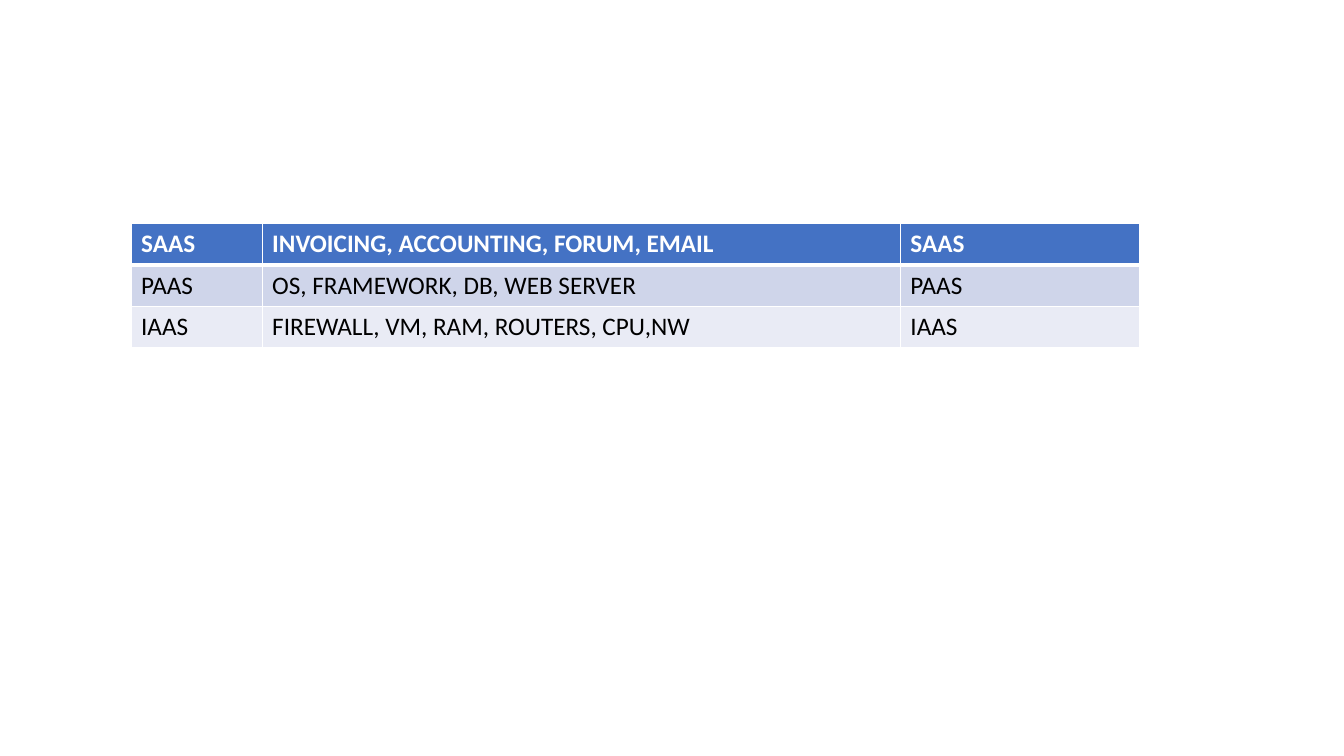
from dataclasses import dataclass

import lxml.etree
import pptx
import pptx.dml.color
import pptx.oxml.ns
import pptx.table
import pptx.util

RGBColor = pptx.dml.color.RGBColor
WHITE = RGBColor(0xFF, 0xFF, 0xFF)
BLACK = RGBColor(0x00, 0x00, 0x00)
HEADER_BLUE = RGBColor(0x44, 0x72, 0xC4)
BAND_DARK = RGBColor(0xCF, 0xD5, 0xEA)
BAND_LIGHT = RGBColor(0xE9, 0xEB, 0xF5)

SLIDE_WIDTH = pptx.util.Inches(13.33)
SLIDE_HEIGHT = pptx.util.Inches(7.5)

# Table grid, in inches
TABLE_LEFT, TABLE_TOP = 1.3, 2.22
COLUMN_WIDTHS = (1.3, 6.33, 2.37)
ROW_HEIGHT = 0.41


@dataclass(frozen=True)
class ServiceRow:
    model: str
    examples: str
    fill: RGBColor
    text_color: RGBColor = BLACK
    bold: bool = False
    bottom_border: float = 1


SERVICE_ROWS = (
    ServiceRow("SAAS", "INVOICING, ACCOUNTING, FORUM, EMAIL", HEADER_BLUE, WHITE, True, 3),
    ServiceRow("PAAS", "OS, FRAMEWORK, DB, WEB SERVER", BAND_DARK),
    ServiceRow("IAAS", "FIREWALL, VM, RAM, ROUTERS, CPU,NW", BAND_LIGHT),
)


def set_borders(cell: pptx.table._Cell, top: float, bottom: float) -> None:
    """Draw white borders, with widths in points; they precede the fill."""
    properties = cell._tc.get_or_add_tcPr()
    widths = {"a:lnL": 1, "a:lnR": 1, "a:lnT": top, "a:lnB": bottom}
    for position, (tag, width) in enumerate(widths.items()):
        line = lxml.etree.Element(pptx.oxml.ns.qn(tag), w=str(pptx.util.Pt(width)))
        fill = lxml.etree.SubElement(line, pptx.oxml.ns.qn("a:solidFill"))
        lxml.etree.SubElement(fill, pptx.oxml.ns.qn("a:srgbClr"), val=str(WHITE))
        properties.insert(position, line)


def fill_cell(cell: pptx.table._Cell, text: str, row: ServiceRow, top_border: float) -> None:
    cell.fill.solid()
    cell.fill.fore_color.rgb = row.fill
    run = cell.text_frame.paragraphs[0].add_run()
    run.text = text
    run.font.name = "Calibri"
    run.font.size = pptx.util.Pt(18)
    run.font.bold = row.bold
    run.font.color.rgb = row.text_color
    set_borders(cell, top_border, row.bottom_border)


def main() -> None:
    presentation = pptx.Presentation()
    presentation.slide_width = SLIDE_WIDTH
    presentation.slide_height = SLIDE_HEIGHT
    slide = presentation.slides.add_slide(presentation.slide_layouts.get_by_name("Blank"))

    # Table of service models
    table = slide.shapes.add_table(
        len(SERVICE_ROWS),
        len(COLUMN_WIDTHS),
        pptx.util.Inches(TABLE_LEFT),
        pptx.util.Inches(TABLE_TOP),
        pptx.util.Inches(sum(COLUMN_WIDTHS)),
        pptx.util.Inches(ROW_HEIGHT * len(SERVICE_ROWS)),
    ).table
    for column, width in zip(table.columns, COLUMN_WIDTHS):
        column.width = pptx.util.Inches(width)

    # Each row names its model on both sides of the examples
    top_border = 1
    for table_row, row in zip(table.rows, SERVICE_ROWS):
        table_row.height = pptx.util.Inches(ROW_HEIGHT)
        for cell, text in zip(table_row.cells, (row.model, row.examples, row.model)):
            fill_cell(cell, text, row, top_border)
        top_border = row.bottom_border

    presentation.save("out.pptx")


if __name__ == "__main__":
    main()
